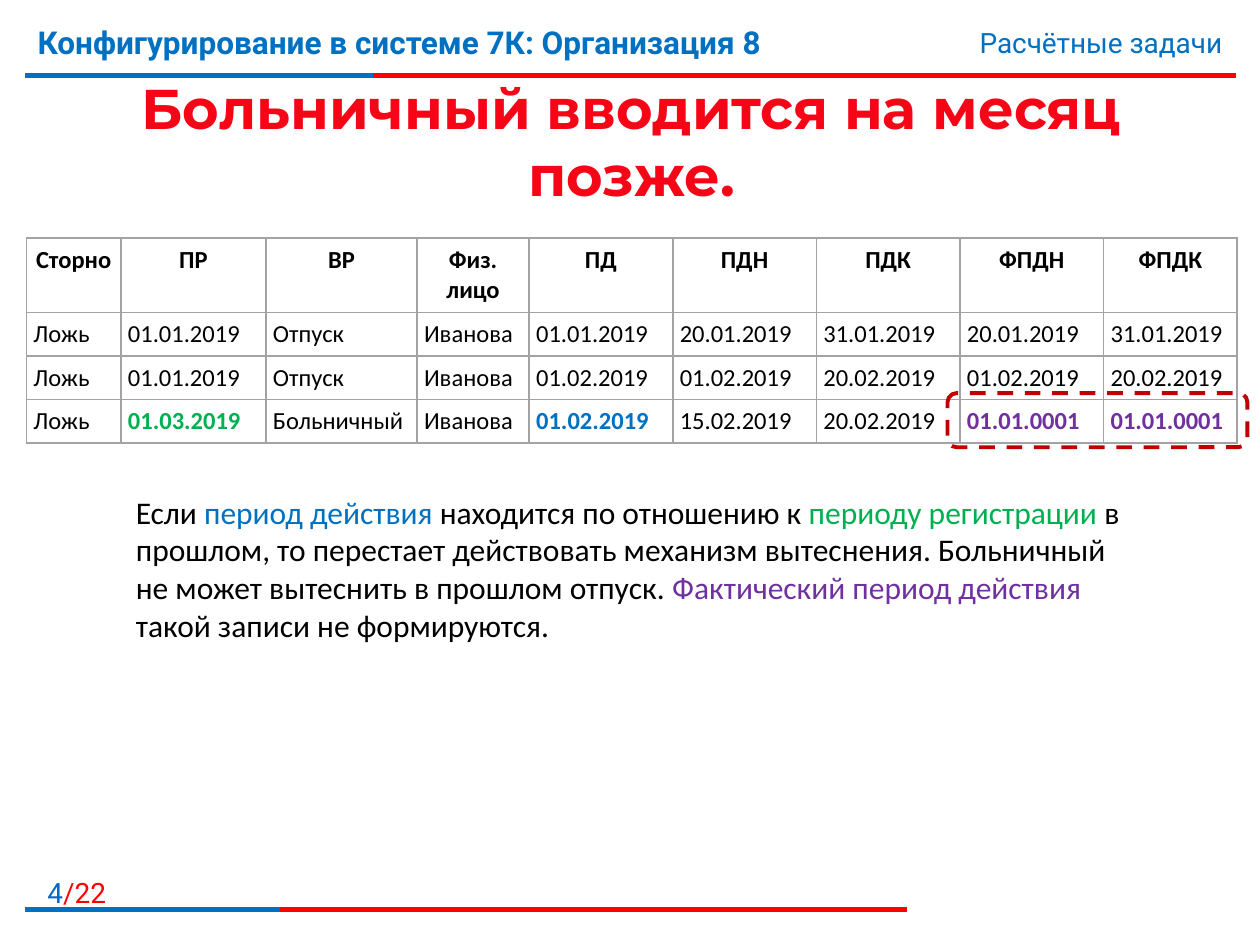
from lxml import etree
from pptx import Presentation
from pptx.dml.color import RGBColor
from pptx.enum.dml import MSO_LINE
from pptx.enum.shapes import MSO_CONNECTOR, MSO_SHAPE
from pptx.enum.text import MSO_ANCHOR, MSO_AUTO_SIZE, PP_ALIGN
from pptx.oxml.ns import qn
from pptx.util import Inches, Pt

LEFT, CENTER, RIGHT = PP_ALIGN.LEFT, PP_ALIGN.CENTER, PP_ALIGN.RIGHT
TOP, MIDDLE = MSO_ANCHOR.TOP, MSO_ANCHOR.MIDDLE
STRAIGHT, ROUNDED = MSO_CONNECTOR.STRAIGHT, MSO_SHAPE.ROUNDED_RECTANGLE
NO_AUTOFIT, DASH = MSO_AUTO_SIZE.NONE, MSO_LINE.DASH

BLUE, RED, GREEN, PURPLE = "0070C0", "FF0000", "00B050", "7030A0"
BLACK, WHITE, GRAY, DARK_RED = "000000", "FFFFFF", "A3A3A3", "C00000"

MARGIN = 0.2
COLUMN_WIDTHS = [0.75, 1.15, 1.2, 0.89, 1.14, 1.14, 1.14, 1.14, 1.06]
ROW_HEIGHTS = [0.59] + [0.34] * 3
ROWS = [
    ["Сторно", "ПР", "ВР", "Физ. лицо", "ПД", "ПДН", "ПДК", "ФПДН", "ФПДК"],
    ["Ложь", "01.01.2019", "Отпуск", "Иванова", "01.01.2019",
     "20.01.2019", "31.01.2019", "20.01.2019", "31.01.2019"],
    ["Ложь", "01.01.2019", "Отпуск", "Иванова", "01.02.2019",
     "01.02.2019", "20.02.2019", "01.02.2019", "20.02.2019"],
    ["Ложь", "01.03.2019", "Больничный", "Иванова", "01.02.2019",
     "15.02.2019", "20.02.2019", "01.01.0001", "01.01.0001"],
]
# Highlighted cells of the last row: column -> colour
HIGHLIGHTS = {1: GREEN, 4: BLUE, 7: PURPLE, 8: PURPLE}


def color(value):
    return RGBColor.from_string(value)


def add_run(paragraph, text, size, font_name, font_color, bold=False):
    run = paragraph.add_run()
    run.text = text
    run.font.size = Pt(size)
    run.font.name = font_name
    run.font.bold = bold
    run.font.color.rgb = color(font_color)
    return run


def add_text(slide, box, parts, size, font_name, align=LEFT, bold=False):
    shape = slide.shapes.add_textbox(*map(Inches, box))
    frame = shape.text_frame
    frame.word_wrap = True
    frame.vertical_anchor = TOP
    paragraph = frame.paragraphs[0]
    paragraph.alignment = align
    for text, font_color in parts:
        add_run(paragraph, text, size, font_name, font_color, bold)


def add_rule(slide, top, blue_end, red_end):
    """Red line with a blue beginning laid over it."""
    for end, line_color in ((red_end, RED), (blue_end, BLUE)):
        line = slide.shapes.add_connector(
            STRAIGHT, Inches(MARGIN), Inches(top), Inches(end), Inches(top))
        line.line.color.rgb = color(line_color)
        line.line.width = Pt(3)
        etree.SubElement(line._element.spPr, qn("a:effectLst"))


def format_title(slide, text):
    title = slide.shapes.title
    title.left, title.top, title.width, title.height = map(
        Inches, (0.21, 0.63, 9.61, 0.97))
    frame = title.text_frame
    frame.word_wrap = True
    frame.auto_size = NO_AUTOFIT
    frame.vertical_anchor = MIDDLE
    paragraph = frame.paragraphs[0]
    paragraph.alignment = CENTER
    run = add_run(paragraph, text, 32, "Montserrat", RED, bold=True)
    # Vertical gradient from bright to dark red
    fill = run.font.fill
    fill.gradient()
    fill.gradient_angle = 270
    stops = ((0.55, "F50516"), (0.86, DARK_RED))
    for stop, (position, stop_color) in zip(fill.gradient_stops, stops):
        stop.position = position
        stop.color.rgb = color(stop_color)
    # Thin white outline of the letters
    outline = etree.Element(qn("a:ln"), w=str(Pt(0.75)))
    solid = etree.SubElement(outline, qn("a:solidFill"))
    etree.SubElement(solid, qn("a:srgbClr"), val=WHITE)
    run.font._element.insert(0, outline)


def set_borders(cell):
    properties = cell._tc.get_or_add_tcPr()
    for index, side in enumerate(("lnL", "lnR", "lnT", "lnB")):
        border = etree.Element(qn(f"a:{side}"), w=str(Pt(1)))
        solid = etree.SubElement(border, qn("a:solidFill"))
        etree.SubElement(solid, qn("a:srgbClr"), val=GRAY)
        properties.insert(index, border)


def fill_cell(cell, text, align, font_color, bold):
    cell.margin_left = cell.margin_right = Pt(4)
    cell.margin_top = cell.margin_bottom = Pt(4)
    cell.fill.background()
    set_borders(cell)
    paragraph = cell.text_frame.paragraphs[0]
    paragraph.alignment = align
    add_run(paragraph, text, 14, "Calibri", font_color, bold)


def add_records_table(slide):
    frame = slide.shapes.add_table(
        len(ROWS), len(COLUMN_WIDTHS), Inches(0.21), Inches(1.89),
        Inches(sum(COLUMN_WIDTHS)), Inches(sum(ROW_HEIGHTS)))
    table = frame.table
    table.first_row = table.horz_banding = False
    for column, width in zip(table.columns, COLUMN_WIDTHS):
        column.width = Inches(width)
    for row, height in zip(table.rows, ROW_HEIGHTS):
        row.height = Inches(height)
    last = len(ROWS) - 1
    for row_index, texts in enumerate(ROWS):
        header = row_index == 0
        highlights = HIGHLIGHTS if row_index == last else {}
        for column_index, text in enumerate(texts):
            fill_cell(table.cell(row_index, column_index), text,
                      CENTER if header else LEFT,
                      highlights.get(column_index, BLACK),
                      header or column_index in highlights)


def add_dashed_frame(slide, box):
    shape = slide.shapes.add_shape(ROUNDED, *map(Inches, box))
    shape.shadow.inherit = False
    shape.fill.background()
    shape.line.color.rgb = color(DARK_RED)
    shape.line.width = Pt(2.25)
    shape.line.dash_style = DASH


def main():
    presentation = Presentation()
    presentation.slide_width, presentation.slide_height = Inches(10), Inches(7.5)
    slide = presentation.slides.add_slide(presentation.slide_layouts[5])

    # Header and footer
    add_rule(slide, 0.6, 2.96, 9.81)
    add_text(slide, (0, 6.9, 0.94, 0.32), [("4", "0066CC"), ("/22", RED)],
             16, "Roboto", RIGHT)
    add_rule(slide, 7.22, 2.22, 7.2)
    add_text(slide, (MARGIN, 0.13, 7.4, 0.62),
             [("Конфигурирование в системе 7К: Организация 8", BLUE)],
             18, "Roboto", bold=True)
    add_text(slide, (5.94, 0.15, 3.86, 0.37), [("Расчётные задачи", BLUE)],
             16, "Roboto", RIGHT)

    # Title, table and marked cells
    format_title(slide, "Больничный вводится на месяц позже.")
    add_records_table(slide)
    add_dashed_frame(slide, (7.52, 3.12, 2.38, 0.43))

    # Explanation
    add_text(slide, (0.98, 3.86, 8.15, 1.31), [
        ("Если ", BLACK),
        ("период действия ", BLUE),
        ("находится по отношению к ", BLACK),
        ("периоду регистрации ", GREEN),
        ("в прошлом, то перестает действовать механизм вытеснения. "
         "Больничный не может вытеснить в прошлом отпуск. ", BLACK),
        ("Фактический период действия ", PURPLE),
        ("такой записи не формируются.", BLACK),
    ], 18, "Calibri")

    presentation.save("out.pptx")


if __name__ == "__main__":
    main()
